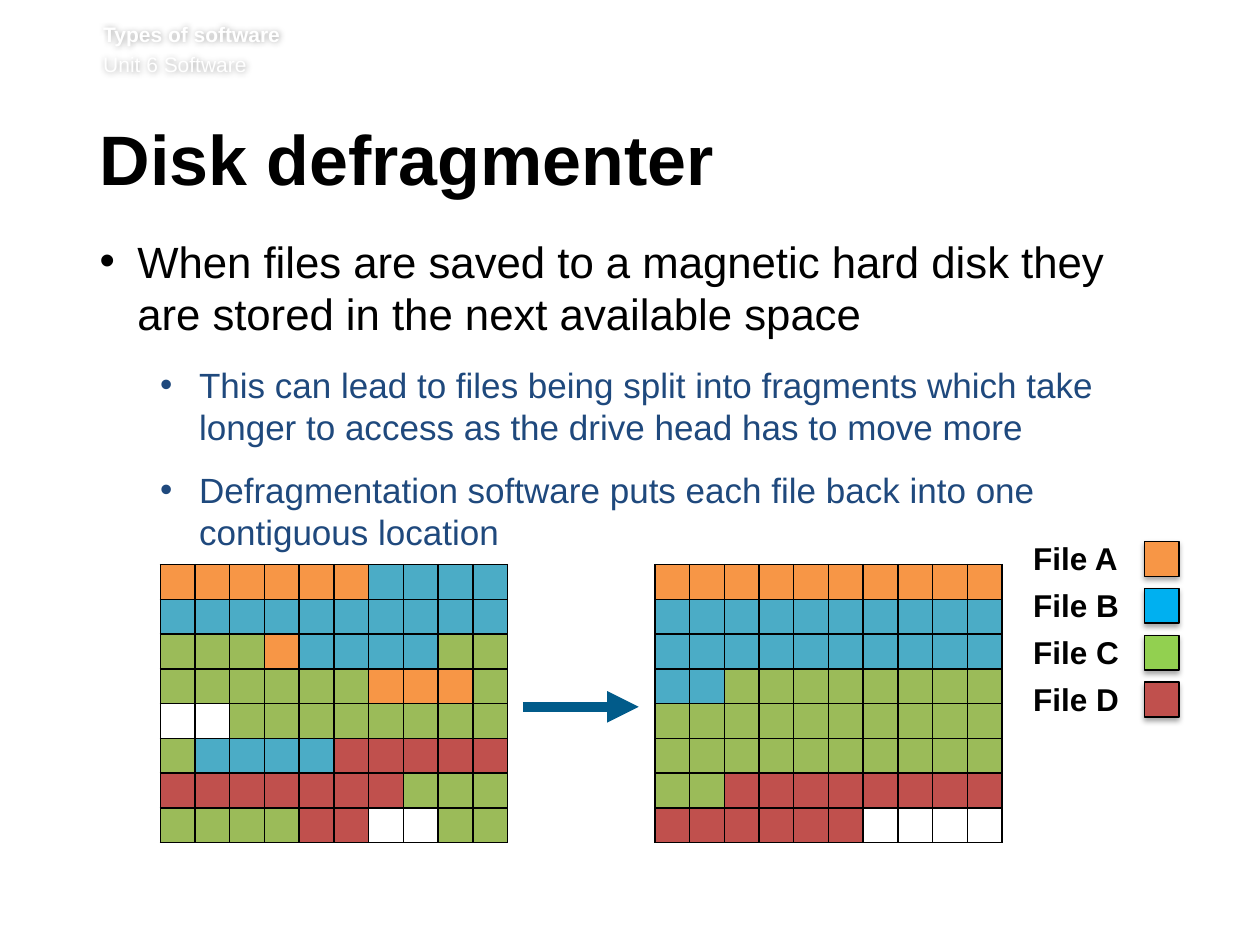
from lxml.etree import SubElement
from pptx import Presentation
from pptx.dml.color import RGBColor
from pptx.enum.shapes import MSO_CONNECTOR as Connector, MSO_SHAPE as Shape
from pptx.enum.text import MSO_ANCHOR as Anchor, PP_ALIGN as Align
from pptx.oxml import parse_xml
from pptx.oxml.ns import nsdecls, qn
from pptx.util import Pt

COLORS = {
    "black": "000000", "white": "FFFFFF", "navy": "1F497D", "arrow": "015B8A",
    "orange": "F79646", "teal": "4BACC6", "olive": "9BBB59", "red": "C0504D",
    "sky": "00B0F0", "lime": "92D050",
}
FONT = "Arial"
HEADER = [("Types of software", True), ("Unit 6 Software", False)]
TITLE = "Disk defragmenter"
BULLETS = [
    (0, "When files are saved to a magnetic hard disk they are stored in the next available space"),
    (1, "This can lead to files being split into fragments which take longer to access "
        "as the drive head has to move more"),
    (1, "Defragmentation software puts each file back into one contiguous location"),
]
LEVELS = [
    {"size": 25, "color": "black", "left": 21.6, "hang": 21.6, "after": 14},
    {"size": 20, "color": "navy", "left": 56.88, "hang": 22.32, "after": 12},
]
BLOCK_COLORS = {"A": "orange", "B": "teal", "C": "olive", "D": "red", ".": "white"}
FRAGMENTED = ["AAAAAABBBB", "BBBBBBBBBB", "CCCABBBBCC", "CCCCCCAAAC",
              "..CCCCCCCC", "CBBBBDDDDD", "DDDDDDDCCC", "CCCCDD..CC"]
DEFRAGMENTED = ["AAAAAAAAAA", "BBBBBBBBBB", "BBBBBBBBBB", "BBCCCCCCCC",
                "CCCCCCCCCC", "CCCCCCCCCC", "CCDDDDDDDD", "DDDDDD...."]
DISKS = [(91.6, FRAGMENTED), (374.2, DEFRAGMENTED)]
DISK_TOP, BLOCK = 322.7, 19.86
LEGEND = [("File A", "orange"), ("File B", "sky"), ("File C", "lime"), ("File D", "red")]
LEGEND_LEFT, LEGEND_TOP, LEGEND_STEP = 590.4, 308.2, 26.8
SWATCH_LEFT = 653.8


def rgb(name):
    return RGBColor.from_string(COLORS[name])


def add_span(para, text, size, color, bold=False):
    span = para.add_run()
    span.text = text
    span.font.name, span.font.size, span.font.bold = FONT, Pt(size), bold
    span.font.color.rgb = rgb(color)


def set_frame(box, margins, anchor=Anchor.TOP):
    frame = box.text_frame
    frame.word_wrap = True
    frame.vertical_anchor = anchor
    (frame.margin_left, frame.margin_top,
     frame.margin_right, frame.margin_bottom) = map(Pt, margins)
    return frame


def add_box(page, left, top, width, height):
    return page.shapes.add_textbox(Pt(left), Pt(top), Pt(width), Pt(height))


def add_shadow(shape, blur, distance):
    shape._element.spPr.append(parse_xml(
        f'<a:effectLst {nsdecls("a")}><a:outerShdw blurRad="{Pt(blur)}" dist="{Pt(distance)}" '
        f'dir="5400000" rotWithShape="0"><a:srgbClr val="{COLORS["black"]}">'
        '<a:alpha val="35000"/></a:srgbClr></a:outerShdw></a:effectLst>'))


def next_para(frame, index):
    return frame.add_paragraph() if index else frame.paragraphs[0]


def add_header(page):
    box = add_box(page, 59, 12.2, 635, 35.3)
    add_shadow(box, 4, 0)
    frame = set_frame(box, (0, 0, 0, 3.6), Anchor.BOTTOM)
    for index, (text, bold) in enumerate(HEADER):
        para = next_para(frame, index)
        if index:
            para.space_before = Pt(2.9)
        add_span(para, text, 12, "white", bold)


def add_title(page):
    title = page.shapes.title
    title.left, title.top, title.width, title.height = map(Pt, (56.9, 71.3, 615.6, 52.6))
    para = set_frame(title, (0, 3.6, 7.2, 3.6)).paragraphs[0]
    para.alignment = Align.LEFT
    para.line_spacing = Pt(39)
    add_span(para, TITLE, 40, "black", True)


def add_bullets(page):
    frame = set_frame(add_box(page, 56.9, 133.9, 614.2, 406), (0, 0, 7.2, 3.6))
    for index, (level, text) in enumerate(BULLETS):
        style = LEVELS[level]
        para = next_para(frame, index)
        para.level = level
        props = para._p.get_or_add_pPr()
        props.set("marL", str(Pt(style["left"])))
        props.set("indent", str(-Pt(style["hang"])))
        SubElement(props, qn("a:buFont"), typeface=FONT)
        SubElement(props, qn("a:buChar"), char="•")
        para.line_spacing = 1.0
        para.space_after = Pt(style["after"])
        add_span(para, text, style["size"], style["color"])


def format_block(cell, color):
    cell.margin_left = cell.margin_right = cell.margin_top = cell.margin_bottom = 0
    SubElement(cell.text_frame.paragraphs[0]._p, qn("a:endParaRPr"), sz="800")
    props = cell._tc.get_or_add_tcPr()
    for side in "LRTB":
        props.append(parse_xml(
            f'<a:ln{side} {nsdecls("a")} w="{Pt(1)}"><a:solidFill>'
            f'<a:srgbClr val="{COLORS["black"]}"/></a:solidFill></a:ln{side}>'))
    cell.fill.solid()
    cell.fill.fore_color.rgb = rgb(color)


def add_disk(page, left, rows):
    count = len(rows[0])
    table = page.shapes.add_table(len(rows), count, Pt(left), Pt(DISK_TOP),
                                  Pt(BLOCK * count), Pt(BLOCK * len(rows))).table
    table.first_row = table.horz_banding = False
    for column in table.columns:
        column.width = Pt(BLOCK)
    for row, blocks in zip(table.rows, rows):
        row.height = Pt(BLOCK)
        for cell, block in zip(row.cells, blocks):
            format_block(cell, BLOCK_COLORS[block])


def add_legend(page):
    for index, (label, color) in enumerate(LEGEND):
        top = LEGEND_TOP + index * LEGEND_STEP
        frame = set_frame(add_box(page, LEGEND_LEFT, top, 64, 21.6), (0, 0, 0, 0))
        add_span(frame.paragraphs[0], label, 18, "black", True)
        swatch = page.shapes.add_shape(Shape.RECTANGLE, Pt(SWATCH_LEFT), Pt(top + 1.2),
                                       Pt(BLOCK), Pt(BLOCK))
        swatch.fill.solid()
        swatch.fill.fore_color.rgb = rgb(color)
        swatch.line.color.rgb = rgb("black")
        swatch.line.width = Pt(0.75)
        add_shadow(swatch, 3.1, 1.8)


def add_arrow(page):
    arrow = page.shapes.add_connector(Connector.STRAIGHT, Pt(298.8), Pt(403.9), Pt(365), Pt(403.9))
    arrow.line.color.rgb = rgb("arrow")
    arrow.line.width = Pt(6)
    props = arrow._element.spPr
    SubElement(props.find(qn("a:ln")), qn("a:tailEnd"), type="triangle")
    SubElement(props, qn("a:effectLst"))


def main():
    """Build the disk defragmenter slide."""
    deck = Presentation()
    deck.slide_width, deck.slide_height = Pt(720), Pt(540)
    page = deck.slides.add_slide(deck.slide_layouts[5])
    add_header(page)
    add_title(page)
    add_bullets(page)
    for left, rows in DISKS:
        add_disk(page, left, rows)
    add_legend(page)
    add_arrow(page)
    deck.save("out.pptx")


if __name__ == "__main__":
    main()
